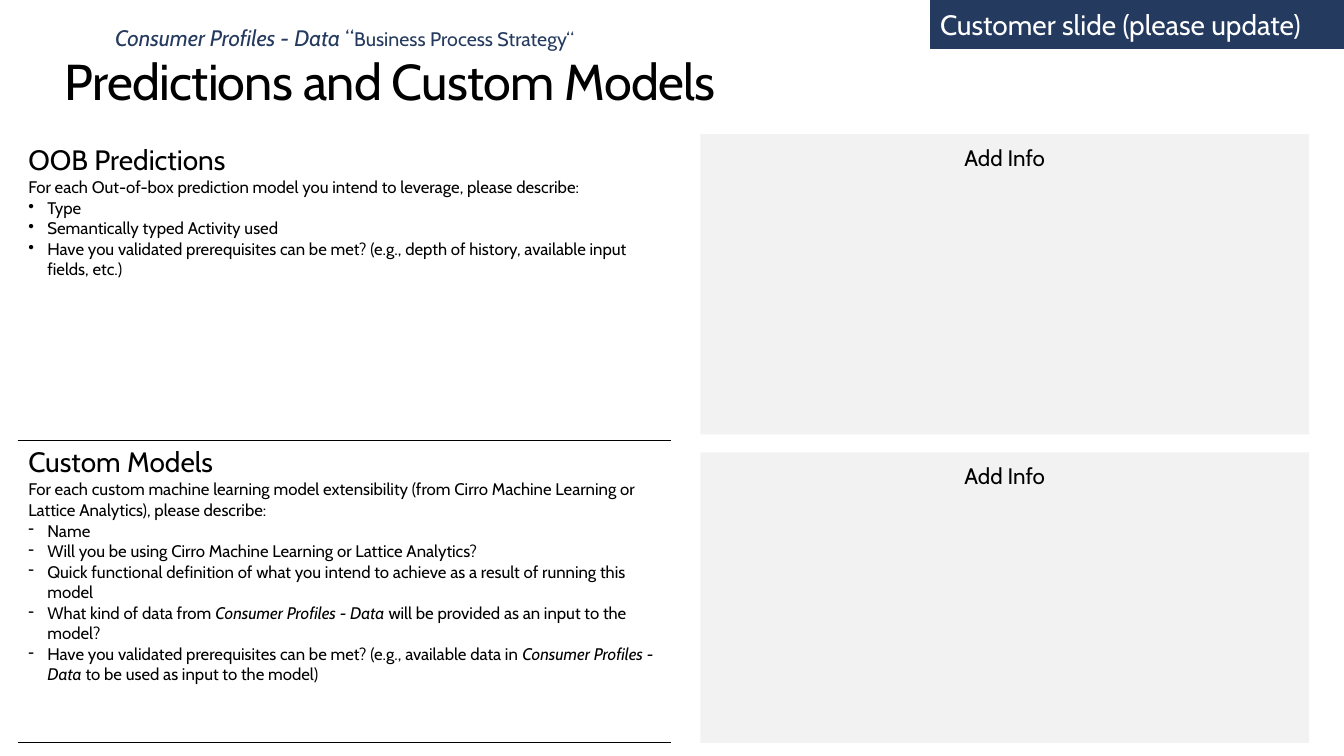
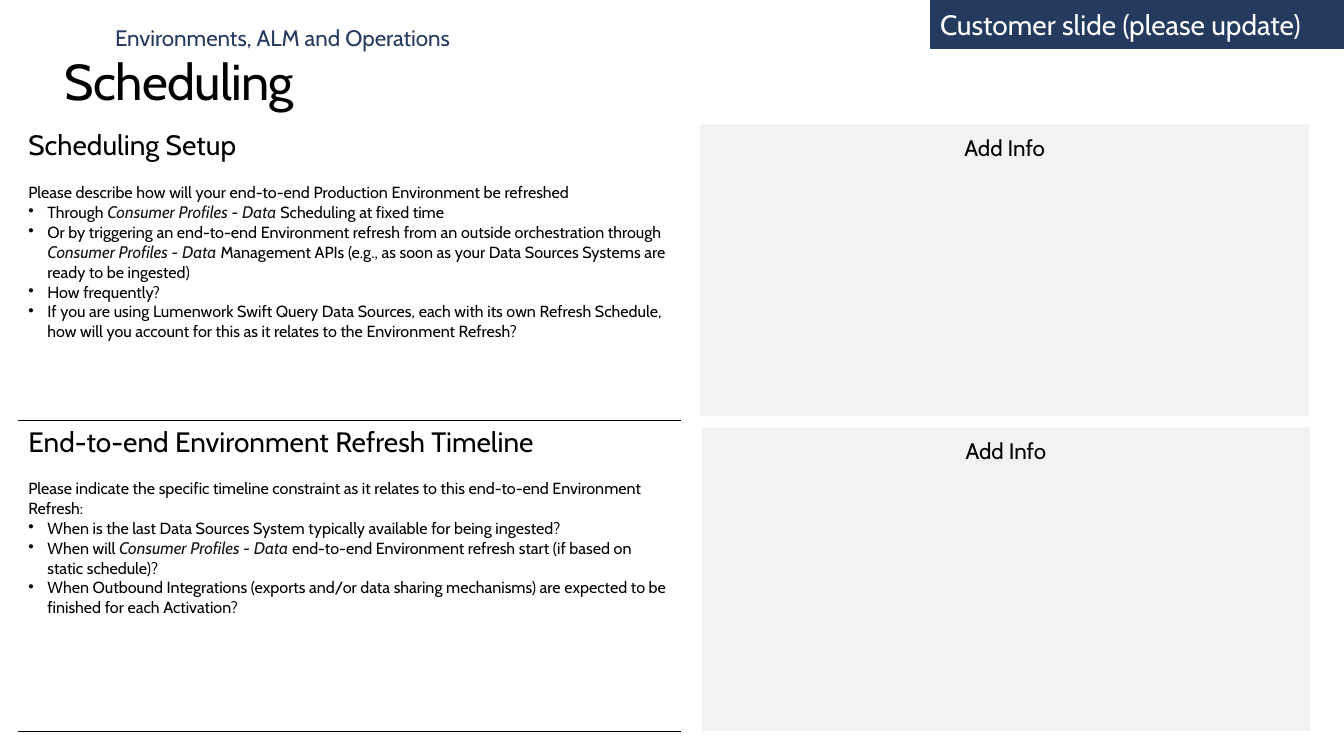
import pptx
import pptx.dml.color
import pptx.enum.shapes
import pptx.enum.text
import pptx.oxml
import pptx.oxml.ns
import pptx.util

Cm = pptx.util.Cm
Pt = pptx.util.Pt
Align = pptx.enum.text.PP_ALIGN
Anchor = pptx.enum.text.MSO_ANCHOR

COLORS = {"navy": "243A5E", "panel": "F2F2F2", "text": "000000",
          "product": "161616", "white": "FFFFFF"}
FONT = "Cabin"
WIDTH, HEIGHT = 33.87, 19.05
BAND_LEFT = 23.44
PANEL_WIDTH = 15.34
TOPICS_LEFT = 0.46
PRODUCT = "Consumer Profiles - Data"


def color(name):
    return pptx.dml.color.RGBColor.from_string(COLORS[name])


def xml(markup):
    declared = pptx.oxml.ns.nsdecls("a")
    return pptx.oxml.parse_xml(markup.replace(" ", f" {declared} ", 1))


class Workbook:
    """Holds the shared style and the slide being filled."""

    def __init__(self):
        self.deck = pptx.Presentation()
        self.deck.slide_width = Cm(WIDTH)
        self.deck.slide_height = Cm(HEIGHT)
        self.slide = None

    def add_runs(self, paragraph, text, size, tone="text", italic_size=None, italic_tone=None):
        """Append text as runs; parts between asterisks are italic."""
        for index, part in enumerate(text.split("*")):
            if not part:
                continue
            italic = index % 2 == 1
            run = paragraph.add_run()
            run.text = part
            run.font.name = FONT
            run.font.italic = italic
            run.font.size = Pt(italic_size if italic and italic_size else size)
            run.font.color.rgb = color(italic_tone if italic and italic_tone else tone)

    def frame(self, shape, insets, anchor=Anchor.TOP, wrap=True):
        """Set up the text frame of a shape and return its first paragraph."""
        frame = shape.text_frame
        frame.margin_left, frame.margin_top, frame.margin_right, frame.margin_bottom = map(Cm, insets)
        frame.vertical_anchor = anchor
        frame.word_wrap = wrap
        return frame.paragraphs[0]

    def start(self, title, eyebrow, eyebrow_tail=""):
        """Add a slide with its title, section line and band."""
        self.slide = self.deck.slides.add_slide(self.deck.slide_layouts[5])
        heading = self.slide.shapes.title
        heading.left, heading.top, heading.width, heading.height = map(Cm, (1.63, 1.27, 30.61, 1.55))
        line = self.frame(heading, (0, 0, 0, 0))
        heading.text_frame.auto_size = pptx.enum.text.MSO_AUTO_SIZE.NONE
        line.alignment = Align.LEFT
        self.add_runs(line, title, 36)
        line.runs[0]._r.get_or_add_rPr().set("spc", "-50")

        section = self.slide.shapes.add_textbox(Cm(2.9), Cm(0.6), Cm(12.32), Cm(0.69))
        line = self.frame(section, (0, 0, 0, 0), wrap=False)
        self.add_runs(line, eyebrow, 16, "navy")
        self.add_runs(line, eyebrow_tail, 14, "navy")
        self.band()

    def rectangle(self, left, top, width, height, fill):
        shape = self.slide.shapes.add_shape(
            pptx.enum.shapes.MSO_SHAPE.RECTANGLE, Cm(left), Cm(top), Cm(width), Cm(height))
        shape.shadow.inherit = False
        shape.fill.solid()
        shape.fill.fore_color.rgb = color(fill)
        shape.line.fill.background()
        return shape

    def band(self):
        band = self.rectangle(BAND_LEFT, 0, WIDTH - BAND_LEFT, 1.22, "navy")
        band.line.color.rgb = color("navy")
        band.line.width = Pt(0.25)
        line = self.frame(band, (0.25, 0.13, 0.25, 0.13), Anchor.MIDDLE)
        line.alignment = Align.LEFT
        self.add_runs(line, "Customer slide (please update)", 20, "white")

    def answer_panel(self, left, top, height):
        panel = self.rectangle(left, top, PANEL_WIDTH, height, "panel")
        line = self.frame(panel, (0.25, 0.25, 0.25, 0.13))
        line.alignment = Align.CENTER
        self.add_runs(line, "Add Info", 16)

    def rule(self, cell, side):
        """Draw a thin border on one side of a cell: T or B."""
        border = xml(f'<a:ln{side} w="12700"><a:solidFill><a:srgbClr val="{COLORS["text"]}"/>'
                     f'</a:solidFill></a:ln{side}>')
        properties = cell._tc.get_or_add_tcPr()
        properties.insert(0 if side == "T" else len(properties.findall(pptx.oxml.ns.qn("a:lnT"))), border)

    def bullet(self, paragraph, mark):
        properties = paragraph._p.get_or_add_pPr()
        properties.set("marL", str(Cm(0.48)))
        properties.set("indent", str(-Cm(0.48)))
        properties.append(xml(f'<a:buChar char="{mark}"/>'))

    def topics(self, top, width, heights, topics, size, gap=0, product_tone="text"):
        """Stack topics of (heading, intro, bullet mark, questions), ruled off below."""
        table = self.slide.shapes.add_table(
            len(topics), 1, Cm(TOPICS_LEFT), Cm(top), Cm(width), Cm(sum(heights))).table
        table.first_row = table.horz_banding = False
        for index, (heading, intro, mark, questions) in enumerate(topics):
            table.rows[index].height = Cm(heights[index])
            cell = table.cell(index, 0)
            cell.fill.background()
            if index:
                self.rule(cell, "T")
            self.rule(cell, "B")
            frame = cell.text_frame
            self.add_runs(frame.paragraphs[0], heading, 20)
            opening = frame.add_paragraph()
            opening.space_before = Pt(gap)
            self.add_runs(opening, intro, size)
            for question in questions:
                line = frame.add_paragraph()
                self.bullet(line, mark)
                self.add_runs(line, question, size, italic_size=12, italic_tone=product_tone)


def predictions(book):
    book.start("Predictions and Custom Models", f"*{PRODUCT}* “", "Business Process Strategy“")
    book.answer_panel(17.65, 3.38, 7.57)
    book.topics(3.48, 16.43, (7.62, 7.62), [
        ("OOB Predictions",
         "For each Out-of-box prediction model you intend to leverage, please describe:", "•",
         ["Type",
          "Semantically typed Activity used",
          "Have you validated prerequisites can be met? (e.g., depth of history, "
          "available input fields, etc.)"]),
        ("Custom Models",
         "For each custom machine learning model extensibility (from Cirro Machine Learning or "
         "Lattice Analytics), please describe:", "-",
         ["Name",
          "Will you be using Cirro Machine Learning or Lattice Analytics?",
          "Quick functional definition of what you intend to achieve as a result of running this model",
          f"What kind of data from *{PRODUCT}* will be provided as an input to the model?",
          f"Have you validated prerequisites can be met? (e.g., available data in *{PRODUCT}* "
          "to be used as input to the model)"]),
    ], size=12)
    book.answer_panel(17.65, 11.4, 7.32)


def scheduling(book):
    book.start("Scheduling", "Environments, ALM and Operations")
    book.answer_panel(17.65, 3.12, 7.37)
    book.topics(3.12, 16.69, (7.47, 7.85), [
        ("Scheduling Setup",
         "Please describe how will your end-to-end Production Environment be refreshed", "•",
         [f"Through *{PRODUCT}* Scheduling at fixed time",
          "Or by triggering an end-to-end Environment refresh from an outside orchestration through "
          f"*{PRODUCT} *Management APIs (e.g., as soon as your Data Sources Systems are "
          "ready to be ingested)",
          "How frequently?",
          "If you are using Lumenwork Swift Query Data Sources, each with its own Refresh Schedule, "
          "how will you account for this as it relates to the Environment Refresh?"]),
        ("End-to-end Environment Refresh Timeline",
         "Please indicate the specific timeline constraint as it relates to this end-to-end "
         "Environment Refresh:", "•",
         ["When is the last Data Sources System typically available for being ingested?",
          f"When will *{PRODUCT}* end-to-end Environment refresh start (if based on static schedule)?",
          "When Outbound Integrations (exports and/or data sharing mechanisms) are expected to be "
          "finished for each Activation?"]),
    ], size=11.5, gap=14, product_tone="product")
    book.answer_panel(17.68, 10.77, 7.65)


def main():
    book = Workbook()
    predictions(book)
    scheduling(book)
    book.deck.save("out.pptx")


if __name__ == "__main__":
    main()
